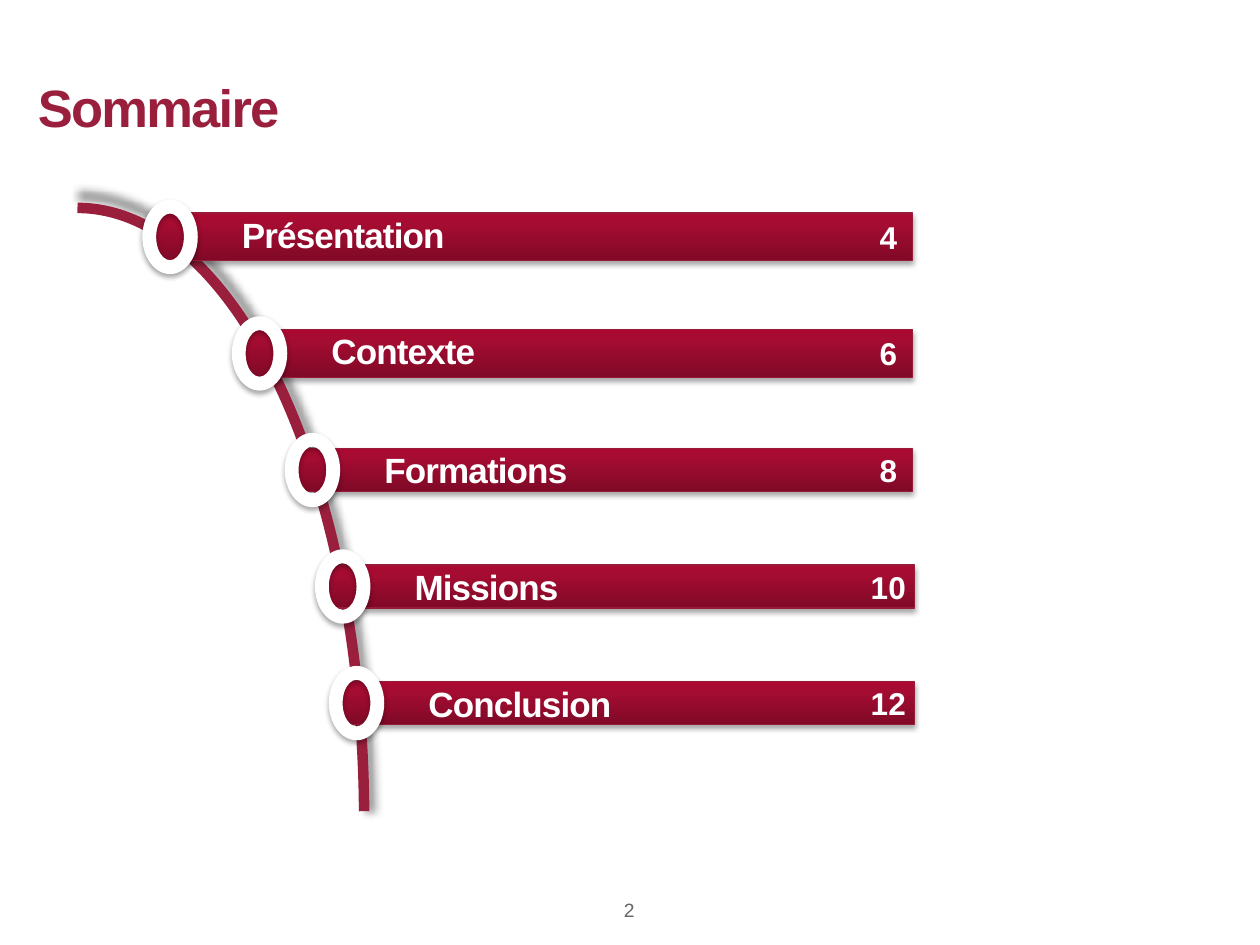
from lxml.etree import SubElement
from pptx import Presentation
from pptx.dml.color import RGBColor
from pptx.enum.shapes import MSO_SHAPE
from pptx.enum.text import MSO_ANCHOR, PP_ALIGN
from pptx.oxml import parse_xml
from pptx.oxml.ns import nsdecls, qn
from pptx.util import Inches, Pt

RED = RGBColor(0x99, 0x1F, 0x3D)
EDGE = RGBColor(0x99, 0x1B, 0x3A)
WHITE = RGBColor(0xFF, 0xFF, 0xFF)
GREY = RGBColor(0x66, 0x66, 0x66)
STOPS = [(0, RGBColor(0x80, 0x09, 0x27)),
         (80, RGBColor(0xA6, 0x0C, 0x32)),
         (100, RGBColor(0xAA, 0x09, 0x31))]


def write(shape, text, size, color, bold=True, align=PP_ALIGN.LEFT,
          anchor=MSO_ANCHOR.TOP, space=0, indent=0, bottom=0, wrap=True):
    frame = shape.text_frame
    frame.margin_left = frame.margin_right = frame.margin_top = 0
    frame.margin_bottom = Inches(bottom)
    frame.word_wrap = wrap
    frame.vertical_anchor = anchor
    para = frame.paragraphs[0]
    para.alignment = align
    if indent:
        props = para._p.get_or_add_pPr()
        props.set("marL", str(Inches(indent)))
        props.set("indent", "0")
    run = para.add_run()
    run.text = text
    font = run.font
    font.name, font.size, font.bold = "Arial", Pt(size), bold
    font.color.rgb = color
    if space:
        run._r.get_or_add_rPr().set("spc", str(int(space * 100)))


def shade(shape, alpha, blur, dist=0, angle=0, scale=100):
    shape.shadow.inherit = False
    effects = shape._element.spPr.find(qn("a:effectLst"))
    outer = SubElement(effects, qn("a:outerShdw"), blurRad=str(Pt(blur)),
                       dist=str(Pt(dist)), dir=str(angle * 60000),
                       sx=str(scale * 1000), sy=str(scale * 1000),
                       algn="ctr", rotWithShape="0")
    color = SubElement(outer, qn("a:srgbClr"), val="000000")
    SubElement(color, qn("a:alpha"), val=str(alpha * 1000))


deck = Presentation()
deck.slide_width, deck.slide_height = Inches(10), Inches(7.5)
slide = deck.slides.add_slide(deck.slide_layouts[6])

title = slide.shapes.add_textbox(Inches(0.3), Inches(0.34), Inches(9.01), Inches(1.01))
write(title, "Sommaire", 30, RED, anchor=MSO_ANCHOR.MIDDLE, space=-1)
page = slide.shapes.add_textbox(Inches(4.57), Inches(7.13), Inches(0.85), Inches(0.26))
write(page, "2", 11, GREY, bold=False, align=PP_ALIGN.CENTER, wrap=False)

arc = slide.shapes.add_shape(MSO_SHAPE.ARC, Inches(-1.66), Inches(1.65),
                             Inches(4.55), Inches(9.71))
arc.adjustments[0], arc.adjustments[1] = 162, 214.99
arc.fill.background()
arc.line.color.rgb = RED
arc.line.width = Pt(6)
shade(arc, 40, 5, scale=102)

rows = [("Présentation", "4", 1.23, 7.24, 0.38, 0.04),
        ("Contexte", "6", 1.94, 7.24, 0.38, 0.04),
        ("Formations", "8", 2.36, 7.24, 0.34, 0),
        ("Missions", "10", 2.6, 7.26, 0.34, 0),
        ("Conclusion", "12", 2.71, 7.26, 0.34, 0)]
stops = "".join(f'<a:gs pos="{pos * 1000}"><a:srgbClr val="{color}"/></a:gs>'
                for pos, color in STOPS)
blend = (f'<a:gradFill {nsdecls("a")} rotWithShape="1"><a:gsLst>{stops}</a:gsLst>'
         '<a:lin ang="16200000" scaled="0"/></a:gradFill>')

for i, (name, number, left, right, height, bottom) in enumerate(rows):
    mid = 1.88 + i * 0.925
    group = slide.shapes.add_group_shape().shapes

    bar = group.add_shape(MSO_SHAPE.RECTANGLE, Inches(left), Inches(mid - height / 2),
                          Inches(right - left), Inches(height))
    bar._element.spPr.append(parse_xml(blend))
    bar.line.color.rgb = EDGE
    bar.line.width = Pt(0.75)
    shade(bar, 35, 3.1, 1.8, 90)
    write(bar, name, 20, WHITE, anchor=MSO_ANCHOR.MIDDLE, space=-0.5,
          indent=0.69, bottom=bottom)

    ring = group.add_shape(MSO_SHAPE.DONUT, Inches(left - 0.1), Inches(mid - 0.295),
                           Inches(0.44), Inches(0.59))
    ring.fill.solid()
    ring.fill.fore_color.rgb = WHITE
    ring.line.fill.background()
    shade(ring, 35, 3.1, 1.8, 90)

    label = group.add_textbox(Inches(6.87), Inches(mid - 0.15), Inches(0.36), Inches(0.3))
    write(label, number, 18, WHITE, align=PP_ALIGN.CENTER)

deck.save("out.pptx")
